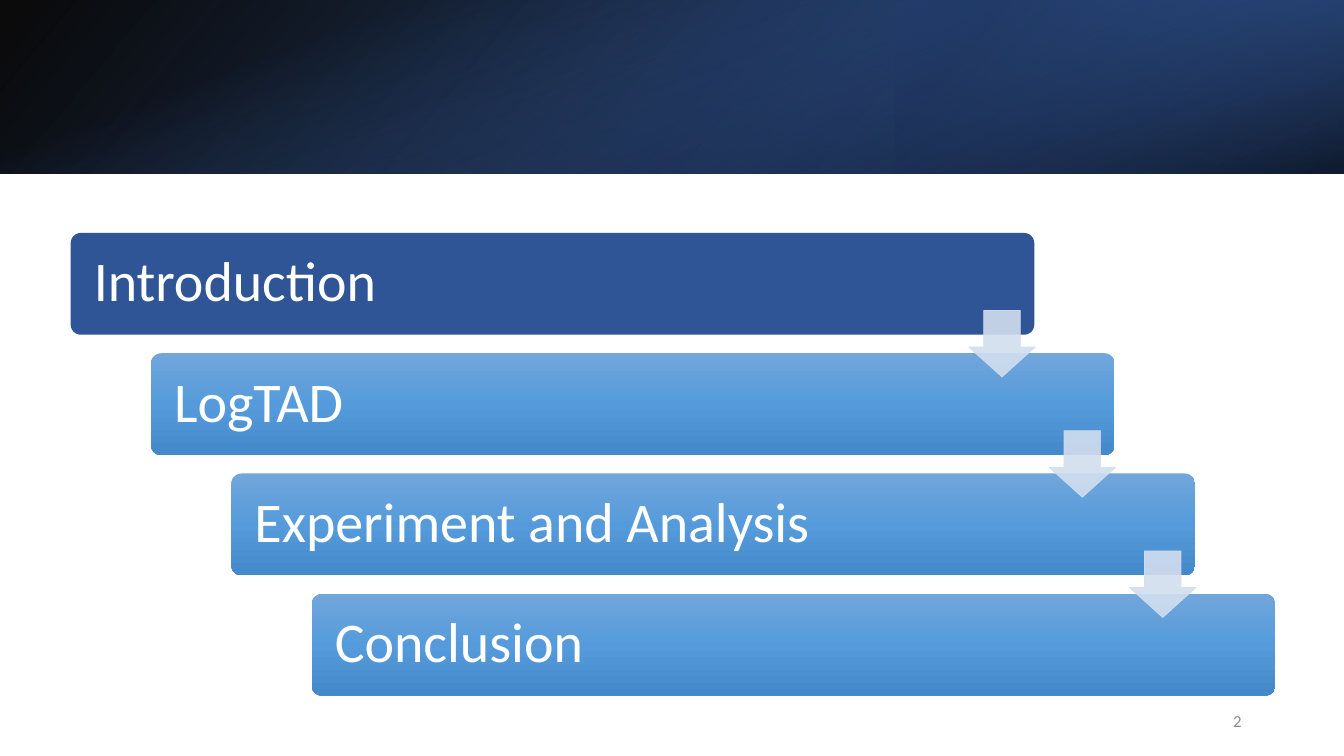
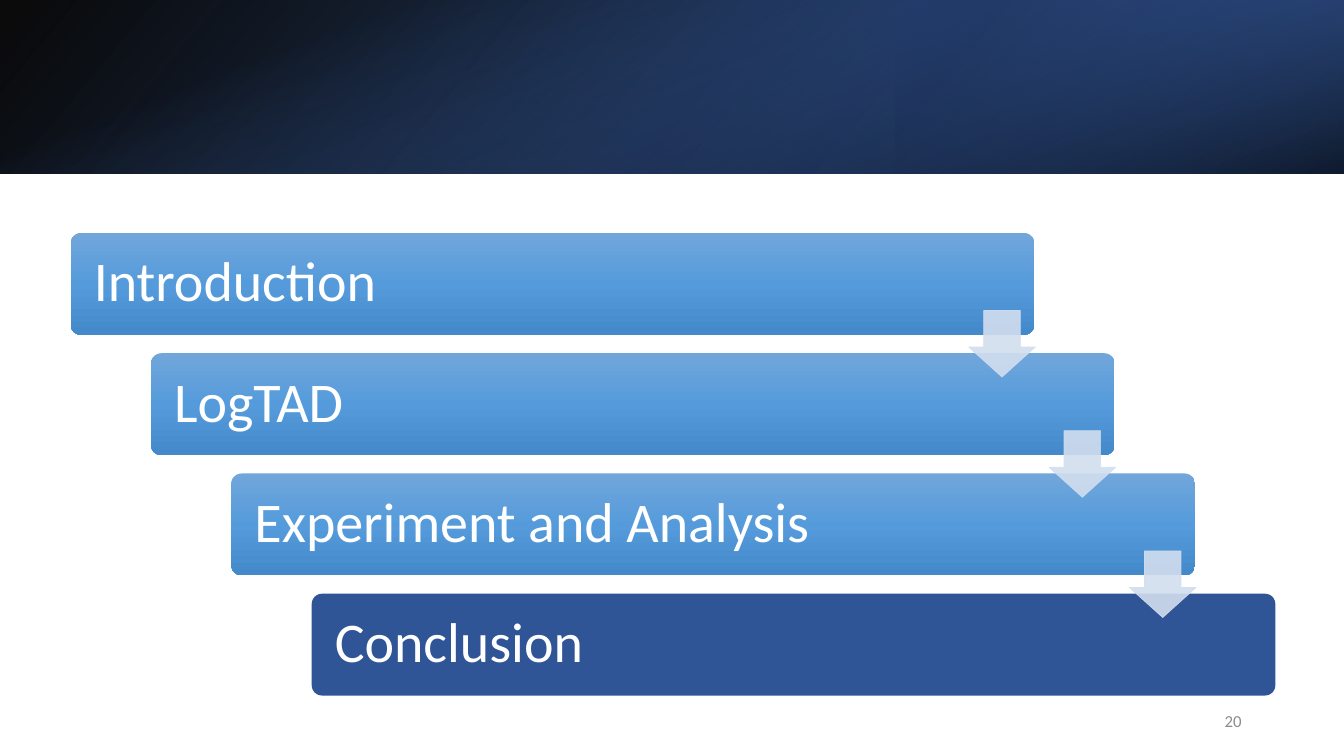
"""Build two agenda slides that highlight the current section."""
from lxml.etree import SubElement
from pptx import Presentation
from pptx.dml.color import RGBColor
from pptx.enum.shapes import MSO_SHAPE
from pptx.enum.text import MSO_ANCHOR, PP_ALIGN
from pptx.oxml.ns import qn
from pptx.oxml.xmlchemy import OxmlElement
from pptx.util import Pt

BLACK = RGBColor(0x00, 0x00, 0x00)
WHITE = RGBColor(0xFF, 0xFF, 0xFF)
GREY = RGBColor(0x8C, 0x8C, 0x8C)
NAVY = RGBColor(0x20, 0x38, 0x64)
DEEP_BLUE = RGBColor(0x2F, 0x55, 0x97)
BLUE = RGBColor(0x44, 0x72, 0xC4)
PALE_BLUE = RGBColor(0xD2, 0xDE, 0xEF)
BAR_TOP = RGBColor(0x71, 0xA6, 0xDB)
BAR_MIDDLE = RGBColor(0x55, 0x9B, 0xDB)
BAR_BOTTOM = RGBColor(0x44, 0x8A, 0xCA)

FONT = "Calibri"
SLIDE_WIDTH, SLIDE_HEIGHT = 960, 540
BAND_HEIGHT = 124
BAR_LEFT, BAR_STEP_X = 50.5, 57.4
BAR_START, BAR_STEP_Y = 166.4, 85.9
BAR_WIDTH, BAR_HEIGHT = 688.3, 72.7
ARROW_SIZE, ARROW_DROP = 47.5, 55.4

SECTIONS = ["Introduction", "LogTAD", "Experiment and Analysis", "Conclusion"]
BAR_STOPS = [(0, BAR_TOP, 100), (50, BAR_MIDDLE, 100), (100, BAR_BOTTOM, 100)]


def add_plain_shape(slide, kind, left, top, width, height, adjustments=()):
    """Add a preset shape without shadow or outline."""
    shape = slide.shapes.add_shape(kind, Pt(left), Pt(top), Pt(width), Pt(height))
    shape.shadow.inherit = False
    shape.line.fill.background()
    for index, value in enumerate(adjustments):
        shape.adjustments[index] = value
    return shape


def fill_solid(shape, color):
    """Fill a shape with one colour."""
    shape.fill.solid()
    shape.fill.fore_color.rgb = color


def set_alpha(color_element, percent):
    """Set the opacity of a colour element."""
    SubElement(color_element, qn("a:alpha")).set("val", str(percent * 1000))


def fill_gradient(shape, stops, angle):
    """Fill a shape with a linear gradient of (position, colour, opacity) stops."""
    gradient = OxmlElement("a:gradFill")
    gradient.set("rotWithShape", "1")
    stop_list = SubElement(gradient, qn("a:gsLst"))
    for position, color, opacity in stops:
        stop = SubElement(stop_list, qn("a:gs"))
        stop.set("pos", str(position * 1000))
        color_element = SubElement(stop, qn("a:srgbClr"))
        color_element.set("val", str(color))
        if opacity < 100:
            set_alpha(color_element, opacity)
    direction = SubElement(gradient, qn("a:lin"))
    direction.set("ang", str(angle * 60000))
    direction.set("scaled", "0")
    shape.element.spPr.find(qn("a:prstGeom")).addnext(gradient)


def write_text(shape, text, *, size, color, align=PP_ALIGN.LEFT, inset=7.2, line_spacing=1.0):
    """Write one vertically centred paragraph into a shape."""
    frame = shape.text_frame
    frame.word_wrap = True
    frame.vertical_anchor = MSO_ANCHOR.MIDDLE
    frame.margin_left = frame.margin_right = Pt(inset)
    paragraph = frame.paragraphs[0]
    paragraph.alignment = align
    paragraph.line_spacing = line_spacing
    run = paragraph.add_run()
    run.text = text
    run.font.name = FONT
    run.font.size = Pt(size)
    run.font.color.rgb = color


def add_band_layer(slide, left, top, width, height, stops, angle, rotation=0, flip=False):
    """Add one gradient layer of the header band."""
    layer = add_plain_shape(slide, MSO_SHAPE.RECTANGLE, left, top, width, height)
    layer.rotation = rotation
    if flip:
        layer.element.spPr.find(qn("a:xfrm")).set("flipH", "1")
    fill_gradient(layer, stops, angle)


def add_header_band(slide):
    """Add the layered dark blue band across the top."""
    add_band_layer(slide, 0, 0, SLIDE_WIDTH, BAND_HEIGHT,
                   [(0, BLACK, 96), (100, DEEP_BLUE, 100)], 140, flip=True)
    add_band_layer(slide, 640, 0, 320, BAND_HEIGHT,
                   [(19, NAVY, 68), (100, BLUE, 79)], 320, rotation=180, flip=True)
    offset = (SLIDE_WIDTH - BAND_HEIGHT) / 2
    add_band_layer(slide, offset, -offset, BAND_HEIGHT, SLIDE_WIDTH,
                   [(23, BLUE, 0), (99, BLACK, 74)], 340, rotation=90)


def add_section_bar(slide, index, section, is_current):
    """Add one step of the staircase."""
    bar = add_plain_shape(slide, MSO_SHAPE.ROUNDED_RECTANGLE,
                          BAR_LEFT + index * BAR_STEP_X, BAR_START + index * BAR_STEP_Y,
                          BAR_WIDTH, BAR_HEIGHT, [0.1])
    if is_current:
        fill_solid(bar, DEEP_BLUE)
    else:
        fill_gradient(bar, BAR_STOPS, 90)
    write_text(bar, section, size=40, color=WHITE, inset=14.4, line_spacing=0.9)


def add_step_arrow(slide, index):
    """Add the translucent arrow from one step to the next."""
    left = BAR_LEFT + index * BAR_STEP_X + BAR_WIDTH - ARROW_SIZE + 0.7
    top = BAR_START + index * BAR_STEP_Y + ARROW_DROP
    arrow = add_plain_shape(slide, MSO_SHAPE.DOWN_ARROW, left, top,
                            ARROW_SIZE, ARROW_SIZE, [0.55, 0.45])
    fill_solid(arrow, PALE_BLUE)
    arrow.line.color.rgb = PALE_BLUE
    arrow.line.width = Pt(0.5)
    for color_element in arrow.element.spPr.iter(qn("a:srgbClr")):
        set_alpha(color_element, 90)


def add_page_number(slide, number):
    """Add the page number at the bottom right."""
    box = slide.shapes.add_textbox(Pt(678), Pt(500.5), Pt(216), Pt(28.8))
    write_text(box, str(number), size=12, color=GREY, align=PP_ALIGN.RIGHT)


def add_agenda_slide(presentation, current, number):
    """Add an agenda slide with the current section highlighted."""
    slide = presentation.slides.add_slide(presentation.slide_layouts[6])
    add_header_band(slide)
    for index, section in enumerate(SECTIONS):
        add_section_bar(slide, index, section, section == current)
    for index in range(len(SECTIONS) - 1):
        add_step_arrow(slide, index)
    add_page_number(slide, number)


def main():
    """Build and save the presentation."""
    presentation = Presentation()
    presentation.slide_width = Pt(SLIDE_WIDTH)
    presentation.slide_height = Pt(SLIDE_HEIGHT)
    add_agenda_slide(presentation, "Introduction", 2)
    add_agenda_slide(presentation, "Conclusion", 20)
    presentation.save("out.pptx")


if __name__ == "__main__":
    main()
